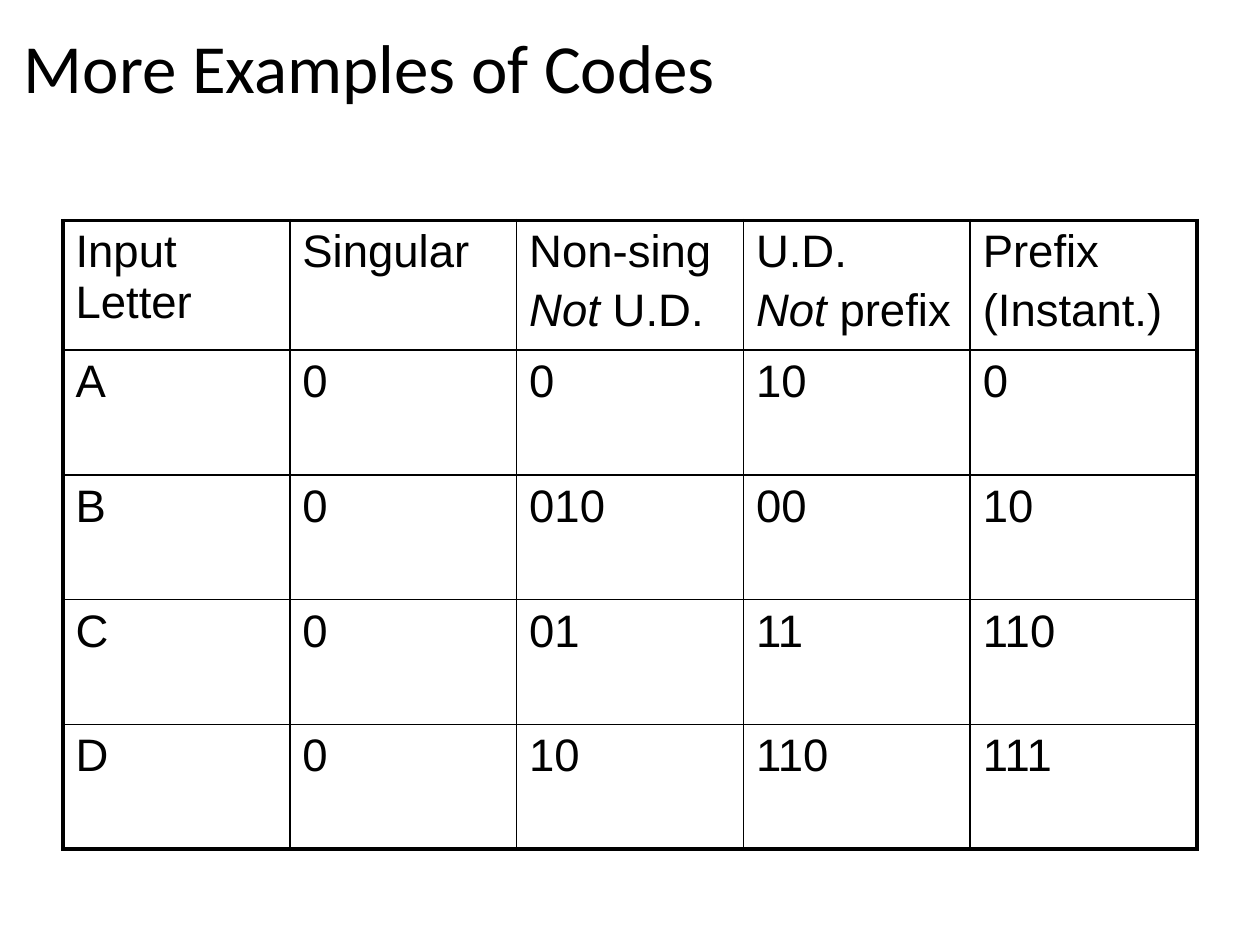
from dataclasses import dataclass

from lxml.etree import SubElement
from pptx import Presentation
from pptx.dml.color import RGBColor
from pptx.enum.text import MSO_ANCHOR
from pptx.oxml.ns import qn
from pptx.util import Inches, Pt

BLACK = "000000"
TITLE_FORMAT = {"size": Pt(39.4), "name": "Calibri"}
CELL_FORMAT = {"size": Pt(26), "name": "Arial"}
THICK, THIN = Pt(2.25), Pt(1)


@dataclass
class Heading:
    first: str
    emphasis: str = ""
    second: str = ""


HEADINGS = [
    Heading("Input Letter"),
    Heading("Singular"),
    Heading("Non-sing", "Not", " U.D."),
    Heading("U.D.", "Not", " prefix"),
    Heading("Prefix", second="(Instant.)"),
]
CODES = [
    ["A", "0", "0", "10", "0"],
    ["B", "0", "010", "00", "10"],
    ["C", "0", "01", "11", "110"],
    ["D", "0", "10", "110", "111"],
]


def set_color(color_format, color: str) -> None:
    color_format.rgb = RGBColor.from_string(color)


def add_text(paragraph, text: str, text_format: dict, italic: bool = False) -> None:
    run = paragraph.add_run()
    run.text = text
    for attribute, value in text_format.items():
        setattr(run.font, attribute, value)
    run.font.italic = italic
    set_color(run.font.color, BLACK)


def add_border(cell, side: str, width: int, color: str) -> None:
    properties = cell._tc.get_or_add_tcPr()
    border = SubElement(properties, qn(f"a:{side}"), w=str(int(width)))
    fill = SubElement(border, qn("a:solidFill"))
    SubElement(fill, qn("a:srgbClr"), val=color)


def fill_cell(cell, heading: Heading, outer_sides: dict[str, bool]) -> None:
    for side, is_outer in outer_sides.items():
        add_border(cell, side, THICK if is_outer else THIN, BLACK)
    cell.fill.background()
    frame = cell.text_frame
    add_text(frame.paragraphs[0], heading.first, CELL_FORMAT)
    if heading.second:
        second_line = frame.add_paragraph()
        second_line.space_before = Pt(4.5)
        if heading.emphasis:
            add_text(second_line, heading.emphasis, CELL_FORMAT, italic=True)
        add_text(second_line, heading.second, CELL_FORMAT)


def add_title(slide, text: str) -> None:
    title = slide.shapes.add_textbox(Inches(0.12), Inches(-0.19), Inches(9.28), Inches(1.42))
    frame = title.text_frame
    frame.word_wrap = True
    frame.vertical_anchor = MSO_ANCHOR.MIDDLE
    for side in ("left", "top", "right", "bottom"):
        setattr(frame, f"margin_{side}", Inches(0.07))
    add_text(frame.paragraphs[0], text, TITLE_FORMAT)


def add_code_table(slide, rows: list[list[Heading]]) -> None:
    row_count, column_count = len(rows), len(rows[0])
    codes = slide.shapes.add_table(
        row_count, column_count, Inches(0.5), Inches(1.75),
        Inches(1.8 * column_count), Inches(0.99 * row_count),
    ).table
    codes.first_row = codes.horz_banding = False
    for row_index, row in enumerate(rows):
        for column_index, entry in enumerate(row):
            outer_sides = {
                "lnL": column_index == 0,
                "lnR": column_index == column_count - 1,
                "lnT": row_index == 0,
                "lnB": row_index == row_count - 1,
            }
            fill_cell(codes.cell(row_index, column_index), entry, outer_sides)


def main() -> None:
    presentation = Presentation()
    presentation.slide_width = Inches(10)
    presentation.slide_height = Inches(7.5)
    slide = presentation.slides.add_slide(presentation.slide_layouts[6])
    add_title(slide, "More Examples of Codes")
    add_code_table(slide, [HEADINGS] + [[Heading(code) for code in row] for row in CODES])
    presentation.save("out.pptx")


if __name__ == "__main__":
    main()
